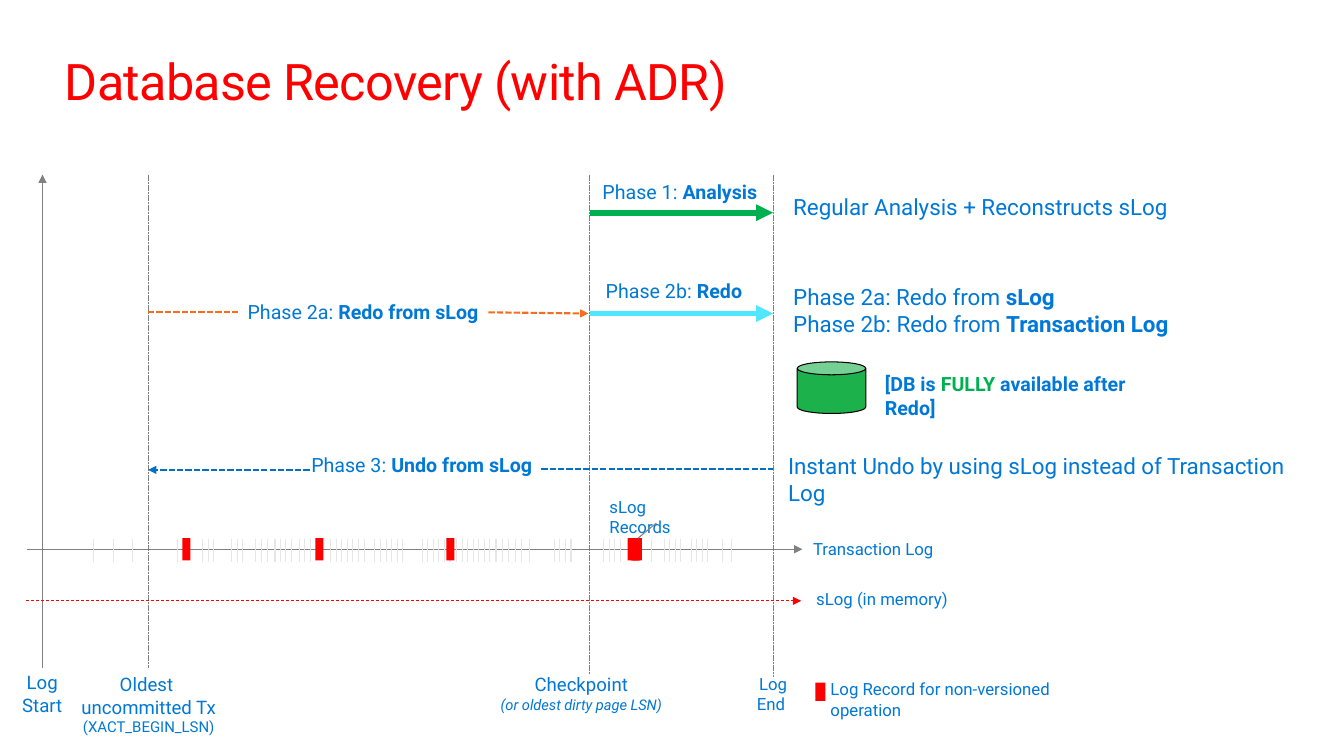
from dataclasses import dataclass
from typing import NamedTuple, Optional

from pptx import Presentation
from pptx.dml.color import RGBColor
from pptx.enum.dml import MSO_LINE as Dash
from pptx.enum.shapes import MSO_CONNECTOR as Conn, MSO_SHAPE as Shp
from pptx.enum.text import MSO_ANCHOR as Anchor, MSO_AUTO_SIZE as Auto, PP_ALIGN as Al
from pptx.oxml import parse_xml
from pptx.oxml.ns import nsdecls
from pptx.util import Cm, Pt

FONT = "Roboto"
BLUE, NOTE_BLUE, UNDO_BLUE = "0078D4", "0078D7", "0070C0"
RED, GREEN, CYAN, ORANGE = "FF0000", "00B050", "50E6FF", "F36E21"
GRAY, LIGHT, WHITE, BLACK = "808080", "E6E6E6", "FFFFFF", "000000"

# Positions in centimetres
OLDEST_X, CHECKPOINT_X, END_X = 3.73, 14.86, 19.48
TOP_Y = 4.4
TICK_TOP, TICK_BOTTOM = 13.58, 14.16
RECORD_W, RECORD_H = 0.2, 0.56


class Run(NamedTuple):
    text: str
    bold: bool = False
    color: Optional[str] = None


class Para(NamedTuple):
    runs: tuple[Run, ...]
    size: float
    italic: bool = False


@dataclass
class Label:
    x: float
    y: float
    w: float
    h: float
    paras: tuple[Para, ...]
    align: Al = Al.CENTER
    color: str = BLUE
    fill: Optional[str] = None


@dataclass
class Line:
    x1: float
    y1: float
    x2: float
    y2: float
    color: str = GRAY
    width: float = 0.75
    dash: Optional[Dash] = None
    arrow: bool = False


class TickRun(NamedTuple):
    x: float
    count: int = 1
    pitch: float = 0.14


def rgb(value: str) -> RGBColor:
    return RGBColor.from_string(value)


def plain(text: str, size: float, italic: bool = False) -> Para:
    return Para((Run(text),), size, italic)


def phase(name: str, action: str, size: float = 14) -> Para:
    """Phase name in regular weight, then its action in bold."""
    return Para((Run(name), Run(action, True)), size)


def draw_label(s, lb: Label):
    box = s.shapes.add_textbox(Cm(lb.x), Cm(lb.y), Cm(lb.w), Cm(lb.h))
    if lb.fill:
        box.fill.solid()
        box.fill.fore_color.rgb = rgb(lb.fill)
    tf = box.text_frame
    tf.word_wrap = True
    tf.auto_size = Auto.SHAPE_TO_FIT_TEXT
    for i, para in enumerate(lb.paras):
        p = tf.add_paragraph() if i else tf.paragraphs[0]
        p.alignment = lb.align
        p.font.name, p.font.size = FONT, Pt(para.size)
        p.font.italic = para.italic
        p.font.color.rgb = rgb(lb.color)
        for run in para.runs:
            r = p.add_run()
            r.text = run.text
            if run.bold:
                r.font.bold = True
            if run.color:
                r.font.color.rgb = rgb(run.color)
    return box


def draw_line(s, ln: Line):
    c = s.shapes.add_connector(Conn.STRAIGHT, Cm(ln.x1), Cm(ln.y1), Cm(ln.x2), Cm(ln.y2))
    c.line.color.rgb = rgb(ln.color)
    c.line.width = Pt(ln.width)
    if ln.dash:
        c.line.dash_style = ln.dash
    if ln.arrow:
        c.line._get_or_add_ln().append(parse_xml(f'<a:tailEnd {nsdecls("a")} type="triangle"/>'))
    c._element.spPr.append(parse_xml(f'<a:effectLst {nsdecls("a")}/>'))
    return c


def draw_shape(s, kind: Shp, x: float, y: float, w: float, h: float, fill: str,
               outline: Optional[str] = None):
    sp = s.shapes.add_shape(kind, Cm(x), Cm(y), Cm(w), Cm(h))
    sp.shadow.inherit = False
    sp.fill.solid()
    sp.fill.fore_color.rgb = rgb(fill)
    if outline:
        sp.line.color.rgb = rgb(outline)
        sp.line.width = Pt(0.75)
    else:
        sp.line.fill.background()
    return sp


def draw_title(s, text: str) -> None:
    sp = s.shapes.title
    sp.left, sp.top, sp.width, sp.height = Cm(1.63), Cm(1.27), Cm(30.61), Cm(1.55)
    tf = sp.text_frame
    tf.margin_left = tf.margin_top = tf.margin_right = tf.margin_bottom = 0
    tf.vertical_anchor = Anchor.TOP
    tf.auto_size = Auto.SHAPE_TO_FIT_TEXT
    p = tf.paragraphs[0]
    p.alignment = Al.LEFT
    p.font.name, p.font.size = FONT, Pt(36)
    p.font.color.rgb = rgb(RED)
    r = p.add_run()
    r.text = text
    r._r.get_or_add_rPr().set("spc", "-50")


LINES = [
    Line(OLDEST_X, TOP_Y, OLDEST_X, 16.84, width=0.25, dash=Dash.SQUARE_DOT),
    Line(CHECKPOINT_X, TOP_Y, CHECKPOINT_X, 16.99, width=0.25, dash=Dash.SQUARE_DOT),
    Line(END_X, TOP_Y, END_X, 17.04, width=0.25, dash=Dash.SQUARE_DOT),
    Line(CHECKPOINT_X, 5.36, END_X, 5.36, GREEN, 4, arrow=True),
    Line(1.07, 16.84, 1.07, TOP_Y, arrow=True),
    Line(0.69, 13.84, 20.22, 13.84, arrow=True),
    Line(CHECKPOINT_X, 7.9, END_X, 7.9, CYAN, 4, arrow=True),
    Line(7.8, 11.84, OLDEST_X, 11.84, UNDO_BLUE, 1.5, Dash.SQUARE_DOT, True),
    Line(13.64, 11.81, END_X, 11.81, UNDO_BLUE, 1.5, Dash.SQUARE_DOT),
    Line(0.66, 15.14, 20.19, 15.14, RED, 0.5, Dash.DASH, True),
]

TICKS = [
    *(TickRun(x) for x in (2.36, 2.87, 3.35, 4.47, 6.93, 9.19, 13.34, 16.41, 18.21, 18.44)),
    *(TickRun(x, 3) for x in (5.11, 5.84, 6.45, 7.06, 7.54)),
    *(TickRun(x, 6) for x in (8.33, 9.45, 10.64, 11.51)),
    TickRun(12.34, 6, 0.16),
    *(TickRun(x, 4) for x in (13.97, 15.21, 16.74, 17.42)),
]

RECORDS_X = (4.6, 7.95, 11.25, 15.82, 15.9, 15.93, 15.98)

REDO_SLOG = Label(5.99, 7.44, 6.32, 0.86, (phase("Phase 2a: ", "Redo from sLog"),))

LABELS = [
    Label(12.34, 16.84, 4.62, 1.27,
          (plain("Checkpoint", 13.3), plain("(or oldest dirty page LSN)", 10.5, True))),
    Label(18.29, 16.84, 2.39, 1.37, (plain("Log", 12), plain("End ", 12))),
    Label(14.86, 4.42, 4.55, 0.86, (phase("Phase 1: ", "Analysis"),)),
    Label(19.74, 4.75, 13.79, 0.94, (plain("Regular Analysis + Reconstructs sLog", 16),),
          Al.LEFT, NOTE_BLUE),
    Label(14.05, 6.91, 5.87, 0.86, (phase("Phase 2b: ", "Redo"),)),
    Label(19.74, 7.01, 13.67, 1.63,
          (phase("Phase 2a: Redo from ", "sLog", 16),
           phase("Phase 2b: Redo from ", "Transaction Log", 16)), Al.LEFT, NOTE_BLUE),
    Label(7.47, 11.3, 6.32, 0.86, (phase("Phase 3: ", "Undo from sLog"),)),
    Label(19.61, 11.28, 13.61, 0.94,
          (plain("Instant Undo by using sLog instead of Transaction Log", 16),), Al.LEFT),
    Label(20.24, 13.44, 3.84, 0.76, (plain("Transaction Log", 12),), Al.LEFT),
    Label(20.32, 14.71, 4.72, 0.76, (plain("sLog (in memory)", 12),), Al.LEFT),
    Label(20.68, 16.99, 7.75, 0.76,
          (plain("Log Record for non-versioned operation", 12),), Al.LEFT),
    Label(15.11, 12.4, 2.9, 0.76, (plain("sLog Records", 12),), Al.LEFT),
    Label(22.05, 9.25, 7.49, 0.86,
          (Para((Run("[DB is ", True), Run("FULLY", True, GREEN),
                 Run(" available after Redo]", True)), 14),), Al.LEFT, NOTE_BLUE, WHITE),
    Label(0.2, 16.79, 1.73, 1.4, (plain("Log", 13.3), plain("Start", 13.3))),
    Label(1.3, 16.84, 4.9, 1.85,
          (plain("Oldest ", 13.3), plain("uncommitted Tx", 13.3),
           plain("(XACT_BEGIN_LSN)", 10.7))),
]


def main() -> None:
    prs = Presentation()
    prs.slide_width, prs.slide_height = Cm(33.87), Cm(19.05)
    s = prs.slides.add_slide(prs.slide_layouts[5])
    draw_title(s, "Database Recovery (with ADR)")
    for ln in LINES:
        draw_line(s, ln)
    for run in TICKS:
        for i in range(run.count):
            x = run.x + i * run.pitch
            draw_line(s, Line(x, TICK_TOP, x, TICK_BOTTOM, LIGHT))

    records = [draw_shape(s, Shp.RECTANGLE, x, 13.56, RECORD_W, RECORD_H, RED)
               for x in RECORDS_X]
    for lb in LABELS:
        draw_label(s, lb)
    callout = draw_line(s, Line(16.1, 13.54, 16.54, 13.18))
    callout.begin_connect(records[-1], 0)

    redo = draw_label(s, REDO_SLOG)
    before = draw_line(s, Line(OLDEST_X, 7.87, 5.99, 7.87, ORANGE, 1.5, Dash.SQUARE_DOT))
    before.end_connect(redo, 1)
    after = draw_line(s, Line(12.31, 7.87, 14.83, 7.9, ORANGE, 1.5, Dash.SQUARE_DOT, True))
    after.begin_connect(redo, 3)

    draw_shape(s, Shp.CAN, 20.09, 9.12, 1.73, 1.3, "1DB14B", BLACK)
    draw_shape(s, Shp.RECTANGLE, 20.55, 17.2, 0.25, 0.46, RED)
    prs.save("out.pptx")


if __name__ == "__main__":
    main()
